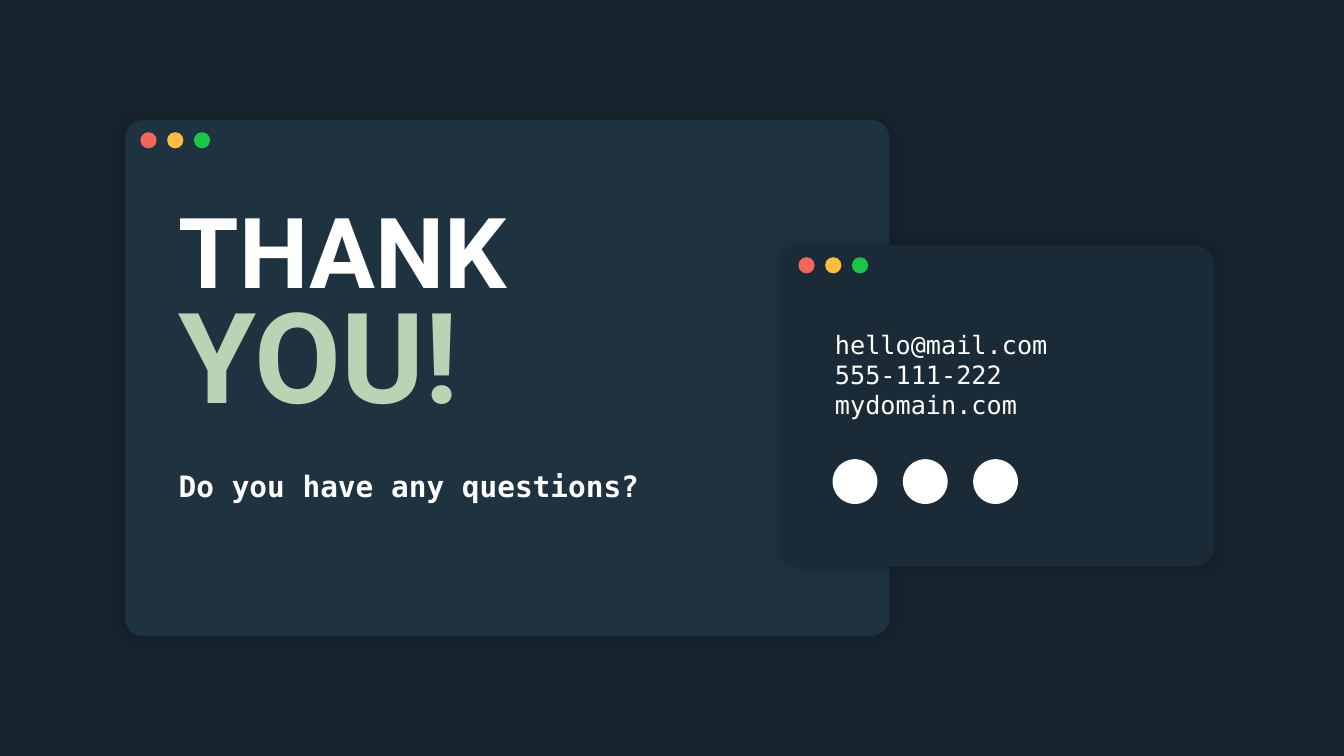
from dataclasses import dataclass
from typing import Any

from lxml.etree import SubElement
from pptx import Presentation
from pptx.dml.color import RGBColor
from pptx.enum.shapes import MSO_SHAPE
from pptx.enum.text import MSO_ANCHOR, MSO_AUTO_SIZE, PP_ALIGN
from pptx.oxml.ns import qn
from pptx.util import Pt

COLORS = {
    "backdrop": "16242F",
    "window": "1F3240",
    "close": "F46659",
    "minimize": "FFBC3E",
    "zoom": "1CC549",
    "white": "FFFFFF",
    "accent": "B9D4B4",
    "shade": "000000",
}
DISPLAY_FONT = "Roboto"
CODE_FONT = "DejaVu Sans Mono"


@dataclass(frozen=True)
class Box:
    left: float
    top: float
    width: float
    height: float


@dataclass(frozen=True)
class Window:
    box: Box
    corner: float
    button_inset: float
    shaded: bool


@dataclass(frozen=True)
class TextStyle:
    font: str
    size: float
    color: str = "white"
    bold: bool = False


WINDOWS = [
    Window(Box(89.3, 85.7, 546, 368.6), 0.035, 11, False),
    Window(Box(556.5, 175, 311, 229.6), 0.066, 13.8, True),
]
BUTTON_SIZE = 11.6
BUTTON_PITCH = 19.1
BUTTON_DROP = 8.7
ICON_ROW = Box(594.7, 328, 32, 32)
ICON_PITCH = 50.2


def rgb(color: str) -> RGBColor:
    return RGBColor.from_string(COLORS[color])


def apply_format(target: Any, values: dict[str, Any]) -> None:
    for name, value in values.items():
        setattr(target, name, value)


def place(shape: Any, box: Box) -> None:
    apply_format(shape, {
        "left": Pt(box.left),
        "top": Pt(box.top),
        "width": Pt(box.width),
        "height": Pt(box.height),
    })


def add_flat_shape(slide: Any, preset: MSO_SHAPE, box: Box, color: str) -> Any:
    flat = slide.shapes.add_shape(
        preset, Pt(box.left), Pt(box.top), Pt(box.width), Pt(box.height)
    )
    flat.shadow.inherit = False
    flat.fill.solid()
    flat.fill.fore_color.rgb = rgb(color)
    flat.line.fill.background()
    return flat


def add_glow(panel: Any) -> None:
    effects = panel.element.spPr.find(qn("a:effectLst"))
    shadow = SubElement(
        effects, qn("a:outerShdw"),
        blurRad=str(Pt(10)), dist="0", dir="0", algn="ctr", rotWithShape="0",
    )
    tint = SubElement(shadow, qn("a:srgbClr"), val=COLORS["shade"])
    SubElement(tint, qn("a:alpha"), val="20000")


def make_translucent(panel: Any, percent: int) -> None:
    tint = panel.element.spPr.find(qn("a:solidFill")).find(qn("a:srgbClr"))
    SubElement(tint, qn("a:alpha"), val=str(percent * 1000))


def add_panel(slide: Any, window: Window, color: str) -> Any:
    panel = add_flat_shape(slide, MSO_SHAPE.ROUNDED_RECTANGLE, window.box, color)
    panel.adjustments[0] = window.corner
    return panel


def add_window(slide: Any, window: Window) -> None:
    add_glow(add_panel(slide, window, "window"))
    if window.shaded:
        make_translucent(add_panel(slide, window, "shade"), 13)
    for index, color in enumerate(("close", "minimize", "zoom")):
        button = Box(
            window.box.left + window.button_inset + index * BUTTON_PITCH,
            window.box.top + BUTTON_DROP, BUTTON_SIZE, BUTTON_SIZE,
        )
        add_flat_shape(slide, MSO_SHAPE.OVAL, button, color)


def prepare_text(placeholder: Any, box: Box, anchor: MSO_ANCHOR) -> Any:
    place(placeholder, box)
    placeholder.element.getparent().append(placeholder.element)
    inset = Pt(9.6)
    apply_format(placeholder.text_frame, {
        "word_wrap": True,
        "auto_size": MSO_AUTO_SIZE.NONE,
        "vertical_anchor": anchor,
        "margin_left": inset,
        "margin_top": inset,
        "margin_right": inset,
        "margin_bottom": inset,
    })
    return placeholder.text_frame


def format_paragraph(paragraph: Any, line_spacing: float, space_after: float = 0) -> None:
    properties = paragraph._p.get_or_add_pPr()
    properties.set("marL", "0")
    properties.set("indent", "0")
    SubElement(properties, qn("a:buNone"))
    apply_format(paragraph, {
        "alignment": PP_ALIGN.LEFT,
        "line_spacing": line_spacing,
        "space_before": Pt(0),
        "space_after": Pt(space_after),
    })


def add_words(paragraph: Any, words: str, style: TextStyle) -> None:
    run = paragraph.add_run()
    run.text = words
    apply_format(run.font, {
        "name": style.font, "size": Pt(style.size), "bold": style.bold,
    })
    run.font.color.rgb = rgb(style.color)


def main() -> None:
    deck = Presentation()
    deck.slide_width, deck.slide_height = Pt(960), Pt(540)
    slide = deck.slides.add_slide(deck.slide_layouts[3])
    slide.background.fill.solid()
    slide.background.fill.fore_color.rgb = rgb("backdrop")
    thanks, question, contact = slide.placeholders

    for window in WINDOWS:
        add_window(slide, window)

    headline = prepare_text(
        thanks, Box(118, 122.4, 462.2, 193), MSO_ANCHOR.BOTTOM
    ).paragraphs[0]
    format_paragraph(headline, 0.8)
    add_words(headline, "THANK", TextStyle(DISPLAY_FONT, 70, bold=True))
    headline.add_line_break()
    add_words(headline, "YOU!", TextStyle(DISPLAY_FONT, 90, "accent", True))

    prompt = prepare_text(
        question, Box(118, 321, 462.2, 57), MSO_ANCHOR.TOP
    ).paragraphs[0]
    format_paragraph(prompt, 1.15, 21)
    add_words(prompt, "Do you have any questions?", TextStyle(CODE_FONT, 21, bold=True))

    details = prepare_text(contact, Box(586.8, 225.4, 249, 84.2), MSO_ANCHOR.MIDDLE)
    for index, detail in enumerate(("hello@mail.com", "555-111-222", "mydomain.com")):
        entry = details.add_paragraph() if index else details.paragraphs[0]
        format_paragraph(entry, 1)
        add_words(entry, detail, TextStyle(CODE_FONT, 18))

    for index in range(3):
        icon = Box(
            ICON_ROW.left + index * ICON_PITCH, ICON_ROW.top,
            ICON_ROW.width, ICON_ROW.height,
        )
        add_flat_shape(slide, MSO_SHAPE.OVAL, icon, "white")

    deck.save("out.pptx")


if __name__ == "__main__":
    main()
